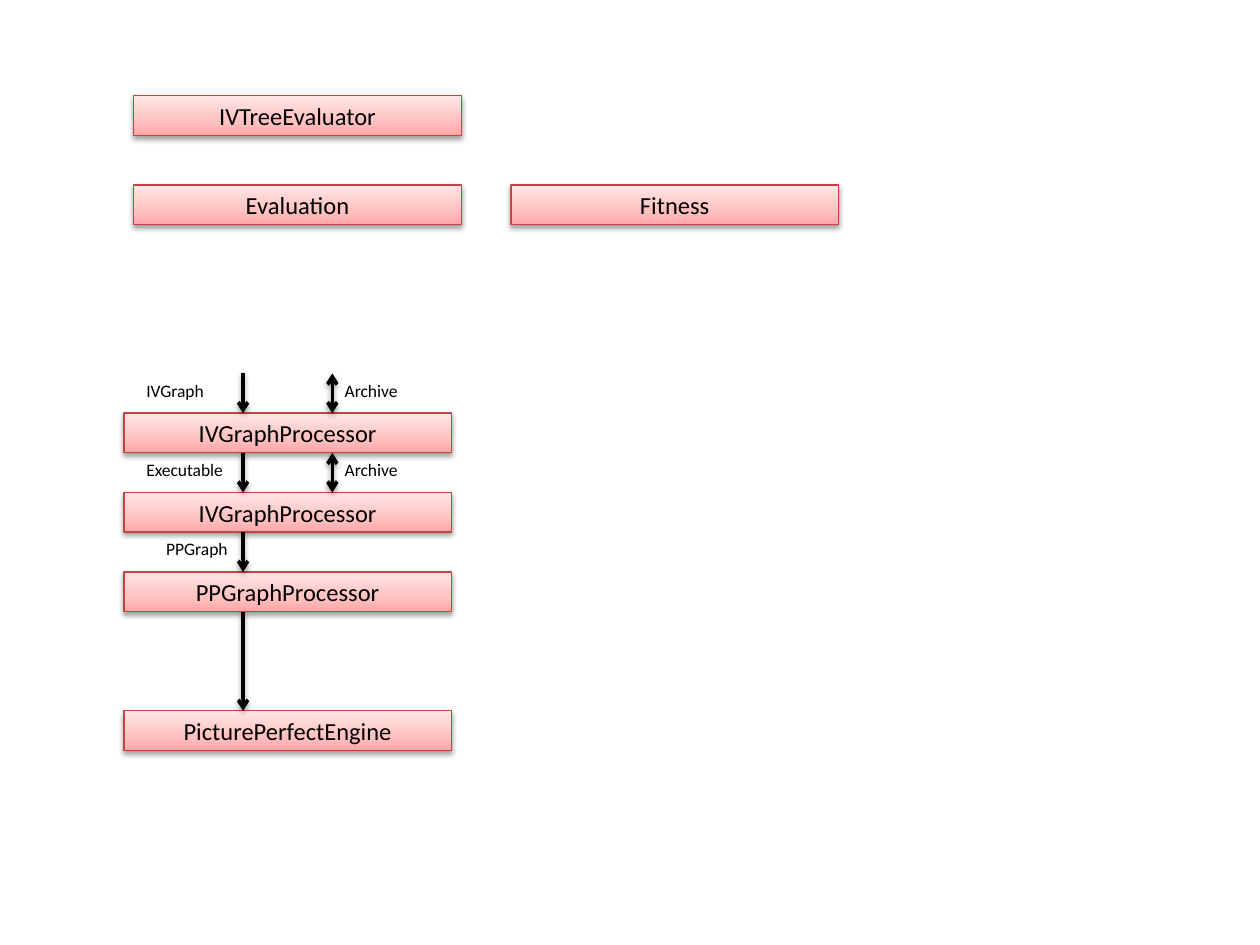
from lxml import etree
from pptx import Presentation
from pptx.dml.color import RGBColor
from pptx.enum.shapes import MSO_CONNECTOR, MSO_SHAPE
from pptx.enum.text import MSO_ANCHOR, MSO_AUTO_SIZE, PP_ALIGN
from pptx.oxml.ns import qn
from pptx.util import Pt

RECT = MSO_SHAPE.RECTANGLE
STRAIGHT = MSO_CONNECTOR.STRAIGHT
MIDDLE = MSO_ANCHOR.MIDDLE
GROW = MSO_AUTO_SIZE.SHAPE_TO_FIT_TEXT
CENTER, LEFT = PP_ALIGN.CENTER, PP_ALIGN.LEFT

BLACK = RGBColor(0x00, 0x00, 0x00)
BORDER = RGBColor(0xC5, 0x43, 0x42)
STOPS = [(0, RGBColor(0xFF, 0xA7, 0xA7)), (35, RGBColor(0xFF, 0xC1, 0xC0)),
         (100, RGBColor(0xFF, 0xE7, 0xE7))]

# One row is the height of a box and of the gap below it
ROW, BOX_W = 22.68, 187.1
STACK_X, STACK_Y = 70.87, 236.1
FLOW_X, ARCHIVE_X = 138.9, 189.9


def add_shadow(spPr):
    effects = spPr.find(qn("a:effectLst"))
    if effects is None:
        effects = etree.SubElement(spPr, qn("a:effectLst"))
    shadow = etree.SubElement(effects, qn("a:outerShdw"), blurRad=str(Pt(3.15)),
                              dist=str(Pt(1.57)), dir="5400000", rotWithShape="0")
    color = etree.SubElement(shadow, qn("a:srgbClr"), val=str(BLACK))
    etree.SubElement(color, qn("a:alpha"), val="38000")


def add_text(tf, text, size, align):
    p = tf.paragraphs[0]
    p.alignment = align
    r = p.add_run()
    r.text = text
    r.font.name = "Calibri"
    r.font.size = Pt(size)
    r.font.color.rgb = BLACK


prs = Presentation()
prs.slide_width, prs.slide_height = Pt(720), Pt(540)
s = prs.slides.add_slide(prs.slide_layouts[6])

# Class boxes: three at the top, then the processing stack
boxes = [
    ("IVTreeEvaluator", 76.5, 54.7),
    ("Evaluation", 76.5, 105.7),
    ("Fitness", 292, 105.7),
    ("IVGraphProcessor", STACK_X, STACK_Y),
    ("IVGraphProcessor", STACK_X, STACK_Y + 2 * ROW),
    ("PPGraphProcessor", STACK_X, STACK_Y + 4 * ROW),
    ("PicturePerfectEngine", STACK_X, STACK_Y + 7.5 * ROW),
]
for text, x, y in boxes:
    sp = s.shapes.add_shape(RECT, Pt(x), Pt(y), Pt(BOX_W), Pt(ROW))
    sp.fill.gradient()
    sp.fill.gradient_angle = 90
    stops = sp._element.spPr.find(qn("a:gradFill")).find(qn("a:gsLst"))
    for stop in list(stops):
        stops.remove(stop)
    for pos, color in STOPS:
        stop = etree.SubElement(stops, qn("a:gs"), pos=str(pos * 1000))
        etree.SubElement(stop, qn("a:srgbClr"), val=str(color))
    sp.line.color.rgb = BORDER
    sp.line.width = Pt(0.75)
    sp.shadow.inherit = False
    add_shadow(sp._element.spPr)
    sp.text_frame.vertical_anchor = MIDDLE
    add_text(sp.text_frame, text, 14, CENTER)

# Arrows: x, start row, length in rows, two-headed
arrows = [
    (FLOW_X, -1, 1, False),
    (ARCHIVE_X, -1, 1, True),
    (FLOW_X, 1, 1, False),
    (ARCHIVE_X, 1, 1, True),
    (FLOW_X, 3, 1, False),
    (FLOW_X, 5, 2.5, False),
]
for x, row, length, two_headed in arrows:
    y = STACK_Y + row * ROW
    sp = s.shapes.add_connector(STRAIGHT, Pt(x), Pt(y), Pt(x), Pt(y + length * ROW))
    sp.line.color.rgb = BLACK
    sp.line.width = Pt(2)
    ln = sp.line._get_or_add_ln()
    for end in ("a:headEnd", "a:tailEnd") if two_headed else ("a:tailEnd",):
        etree.SubElement(ln, qn(end), type="arrow")
    add_shadow(sp._element.spPr)

# Labels of the data passed between the boxes: text, x, row, width
labels = [
    ("IVGraph", 76.5, -1, 48),
    ("Archive", ARCHIVE_X, -1, 45.2),
    ("Executable", 76.5, 1, 59),
    ("Archive", ARCHIVE_X, 1, 45.2),
    ("PPGraph", 87.9, 3, 50.2),
]
for text, x, row, width in labels:
    sp = s.shapes.add_textbox(Pt(x), Pt(STACK_Y + row * ROW), Pt(width), Pt(19.4))
    tf = sp.text_frame
    tf.word_wrap = False
    tf.auto_size = GROW
    add_text(tf, text, 10, LEFT)

prs.save("out.pptx")
